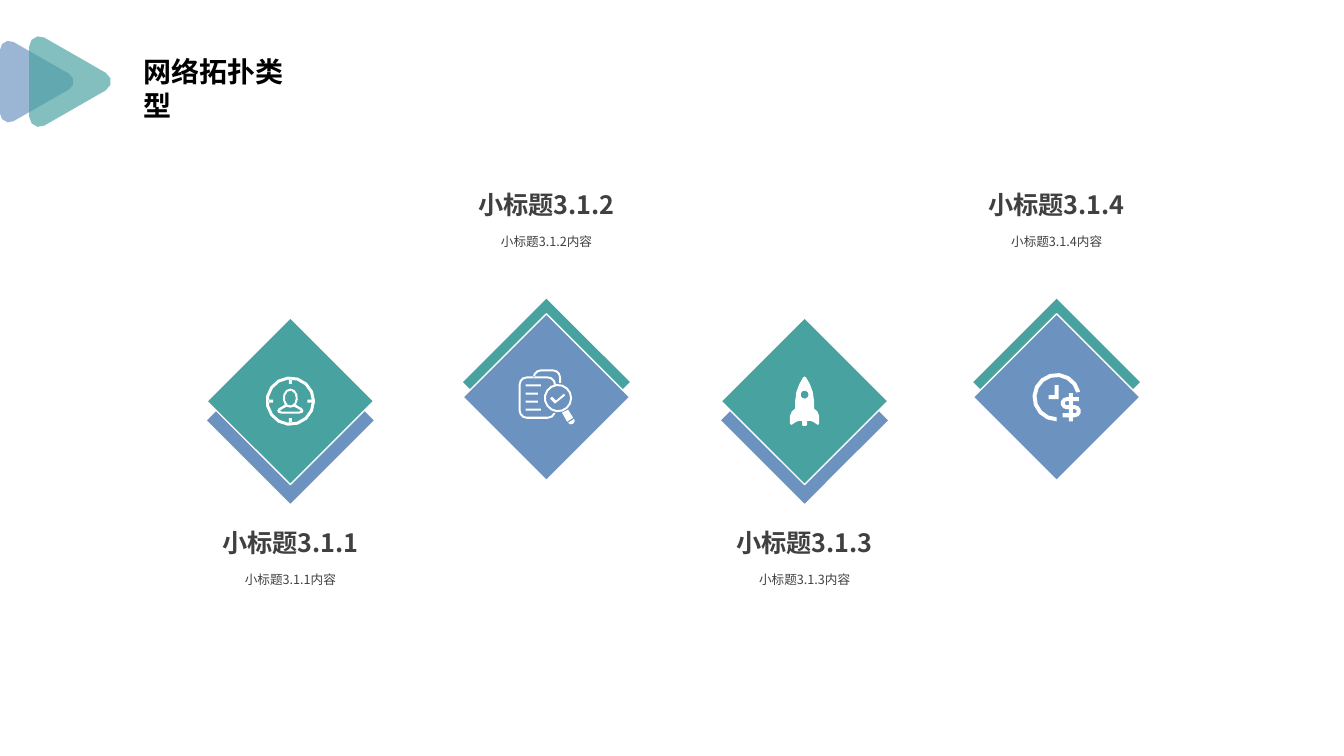
import math
from dataclasses import dataclass

import pptx
import pptx.dml.color
import pptx.enum.shapes
import pptx.enum.text
import pptx.oxml
import pptx.oxml.ns
import pptx.util
from pptx.util import Inches

RGBColor = pptx.dml.color.RGBColor
TEAL = RGBColor(0x48, 0xA2, 0xA0)
BLUE = RGBColor(0x6C, 0x92, 0xC0)
WHITE = RGBColor(0xFF, 0xFF, 0xFF)
BLACK = RGBColor(0, 0, 0)
GRAY = RGBColor(0x40, 0x40, 0x40)
FONT = "Noto Sans CJK SC"
ALIGN = pptx.enum.text.PP_ALIGN
SIDE = 1.17

Point = tuple[float, float]
Contour = list[Point]


@dataclass(frozen=True)
class Layout:
    front: RGBColor
    back: RGBColor
    center_y: float
    back_shift: float
    title_top: float


@dataclass(frozen=True)
class Topic:
    number: str
    center_x: float
    layout: Layout
    icon: list[Contour]


def arc(cx: float, cy: float, rx: float, start: float, end: float, ry: float = 0) -> Contour:
    step = 24 if rx > 10 else 40
    steps = max(1, math.ceil(abs(end - start) / step)) if end != start else 0
    angles = [math.radians(start + (end - start) * i / max(steps, 1)) for i in range(steps + 1)]
    return [(cx + rx * math.cos(a), cy + (ry or rx) * math.sin(a)) for a in angles]


def band(width: float, *arcs: tuple) -> Contour:
    outer = [pt for a in arcs for pt in arc(*a)]
    inner = [pt for cx, cy, r, *span in arcs for pt in arc(cx, cy, r - width, *span)]
    return outer + inner[::-1]


def bar(left: float, top: float, right: float, bottom: float) -> Contour:
    return [(left, top), (right, top), (right, bottom), (left, bottom)]


def mirror(half: Contour) -> Contour:
    return half + [(-x, y) for x, y in reversed(half) if x]


def target_icon() -> list[Contour]:
    shoulders = [(8.5, 5.5), (11.5, 7), (13, 9.5), (12, 11.5), (8.5, 12.5)]
    return [
        band(3, (0, 0, 24.5, 0, 360)),
        *[bar(-1.5, y, 1.5, y + 4.5) for y in (-21.5, 17)],
        *[bar(x, -1.5, x + 4.5, 1.5) for x in (-21.5, 17)],
        mirror(arc(0, -3, 7.5, -90, 43, 9.5) + shoulders),
        arc(0, -3, 5.5, 0, 360, 7.5),
        mirror([(0, 6.5), (3.5, 5.5), (7.5, 7.5), (10.5, 9.5), (8.5, 10.5)]),
    ]


def search_icon() -> list[Contour]:
    return [
        band(2, (1.5, -12.5, 8, 0, -90), (-19.5, -12.5, 8, -90, -180),
             (-19.5, 13.5, 8, 180, 90), (1.5, 13.5, 8, 90, 20)),
        band(2, (-5.5, -19.5, 8, 180, 270), (6.5, -19.5, 8, 270, 360), (6.5, -14, 8, 0, 0)),
        band(2, (11.5, 1, 14, 0, 360)),
        *[bar(-20.5, -12.5 + 8 * i, right, -10.5 + 8 * i)
          for i, right in enumerate((-5.5, -8.5, -8.5, -5.5))],
        [(21.5, 12.5), (15.5, 15.5), (20.5, 24.5), (26.5, 20.5)],
        [(27.5, 21.5), (21.5, 25.5), (23.5, 27), (26.5, 26.5), (28, 24)],
        [(9.5, 3.5), (5.5, -0.5), (3.5, 1.5), (8.5, 6.5), (18.5, -1.5), (17.5, -3.5)],
    ]


def rocket_icon() -> list[Contour]:
    hull = [(0, -24.5), (1.5, -23.5), (5.2, -17), (8.2, -9), (9.5, 1), (9.5, 7.5),
            (12.5, 10), (14.5, 14.5), (14.5, 22.5), (13, 23.5), (8.5, 20.5),
            (5.5, 19.5), (2.5, 19.5), (2.5, 23.5), (1.5, 24.5)]
    return [mirror(hull), arc(0, -6.5, 4, 0, 360)]


def clock_icon() -> list[Contour]:
    dollar = ([(22, 4)] + arc(10, 6, 2, 270, 90) + arc(18, 14, 6, -90, 90)
              + [(6, 20), (6, 16)] + arc(18, 14, 2, 90, -90)
              + arc(10, 6, 6, 90, 270) + [(22, 0)])
    return [
        band(4, (0, 0, 24, 90, 347)),
        [(-2, -12), (2, -12), (2, 2), (-8, 2), (-8, -2), (-2, -2)],
        dollar,
        *[bar(12, y, 16, y + 4) for y in range(-4, 24, 8)],
    ]


def paint(sp, color: RGBColor) -> None:
    sp.shadow.inherit = False
    sp.fill.solid()
    sp.fill.fore_color.rgb = color
    sp.line.fill.background()


def add_outline(slide, contours: list[Contour], cx: float, cy: float, color: RGBColor):
    placed = [[(Inches(cx + x / 100), Inches(cy + y / 100)) for x, y in c] for c in contours]
    builder = slide.shapes.build_freeform(*placed[0][0])
    for i, pts in enumerate(placed):
        if i:
            builder.move_to(*pts[0])
        builder.add_line_segments(pts[1:], close=True)
    sp = builder.convert_to_shape()
    paint(sp, color)
    return sp


def add_triangle(slide, left: float, right: float, rise: float, r: float, color: RGBColor) -> None:
    corners = arc(left, -rise, r, 180, 300) + arc(right, 0, r, -60, 60) + arc(left, rise, r, 60, 180)
    sp = add_outline(slide, [corners], 0, 0.81, color)
    clr = sp.fill._xPr.find(".//" + pptx.oxml.ns.qn("a:srgbClr"))
    clr.append(pptx.oxml.parse_xml(f'<a:alpha {pptx.oxml.ns.nsdecls("a")} val="68000"/>'))


def add_diamond(slide, cx: float, cy: float, color: RGBColor):
    sp = slide.shapes.add_shape(
        pptx.enum.shapes.MSO_SHAPE.RECTANGLE,
        Inches(cx - SIDE / 2), Inches(cy - SIDE / 2), Inches(SIDE), Inches(SIDE))
    sp.rotation = 315
    paint(sp, color)
    return sp


def write(sp, text: str, size: float, bold: bool, color: RGBColor, align, spacing: float = 1.0) -> None:
    tf = sp.text_frame
    frame = {"word_wrap": True, "vertical_anchor": pptx.enum.text.MSO_ANCHOR.TOP,
             "auto_size": pptx.enum.text.MSO_AUTO_SIZE.SHAPE_TO_FIT_TEXT}
    p = tf.paragraphs[0]
    r = p.add_run()
    r.text = text
    formats = (
        (tf, frame),
        (p, {"alignment": align, "line_spacing": spacing}),
        (r.font, {"size": pptx.util.Pt(size), "bold": bold, "name": FONT}),
    )
    for target, values in formats:
        for name, value in values.items():
            setattr(target, name, value)
    r.font.color.rgb = color
    r.font._element.append(pptx.oxml.parse_xml(
        f'<a:ea {pptx.oxml.ns.nsdecls("a")} typeface="{FONT}"/>'))


def add_label(slide, cx: float, top: float, width: float, height: float, *style) -> None:
    sp = slide.shapes.add_textbox(Inches(cx - width / 2), Inches(top), Inches(width), Inches(height))
    write(sp, *style)


def add_topic(slide, topic: Topic) -> None:
    lay, cx = topic.layout, topic.center_x
    add_diamond(slide, cx, lay.center_y + lay.back_shift, lay.back)
    sp = add_diamond(slide, cx, lay.center_y, lay.front)
    sp.line.color.rgb = WHITE
    sp.line.width = pptx.util.Pt(1)
    add_outline(slide, topic.icon, cx, lay.center_y, WHITE)
    name = f"小标题{topic.number}"
    add_label(slide, cx, lay.title_top, 2.33, 0.4, name, 18, True, GRAY, ALIGN.CENTER)
    add_label(slide, cx, lay.title_top + 0.37, 3.31, 0.33,
              f"{name}内容", 9, False, GRAY, ALIGN.CENTER, 1.5)


def main() -> None:
    prs = pptx.Presentation()
    prs.slide_width, prs.slide_height = Inches(13.33), Inches(7.5)
    slide = prs.slides.add_slide(prs.slide_layouts[5])
    title = slide.shapes.title
    box = {"left": 1.32, "top": 0.49, "width": 1.7, "height": 0.44}
    for name, value in box.items():
        setattr(title, name, Inches(value))
    write(title, "网络拓扑类型", 20, True, BLACK, ALIGN.LEFT)
    add_triangle(slide, 9, 64, 31.5, 9, BLUE)
    add_triangle(slide, 39, 100, 35, 10, TEAL)

    below = Layout(TEAL, BLUE, 3.98, 0.19, 5.18)
    above = Layout(BLUE, TEAL, 3.94, -0.15, 1.83)
    topics = [
        Topic("3.1.1", 2.88, below, target_icon()),
        Topic("3.1.2", 5.42, above, search_icon()),
        Topic("3.1.3", 7.98, below, rocket_icon()),
        Topic("3.1.4", 10.48, above, clock_icon()),
    ]
    for topic in topics:
        add_topic(slide, topic)
    prs.save("out.pptx")


if __name__ == "__main__":
    main()
